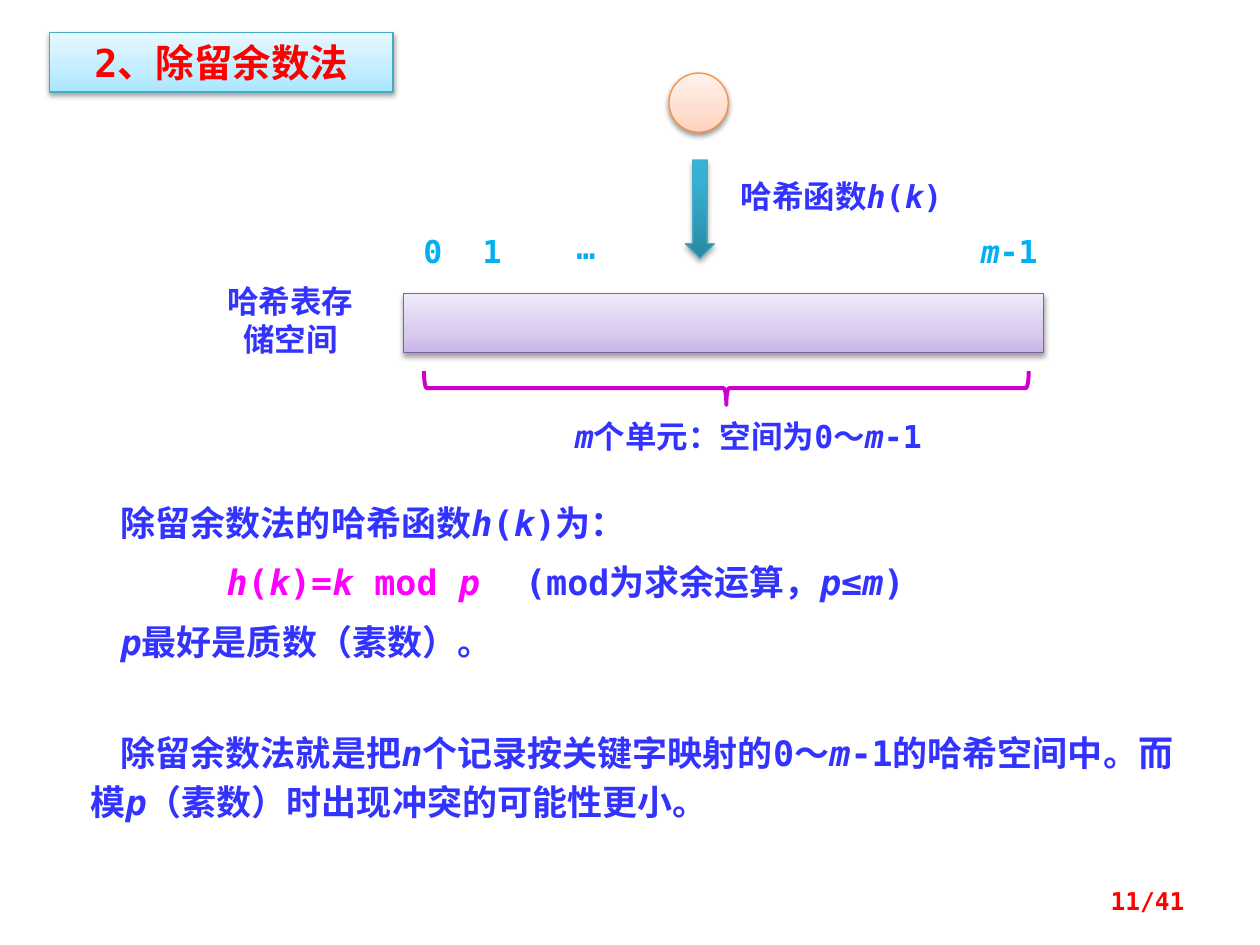
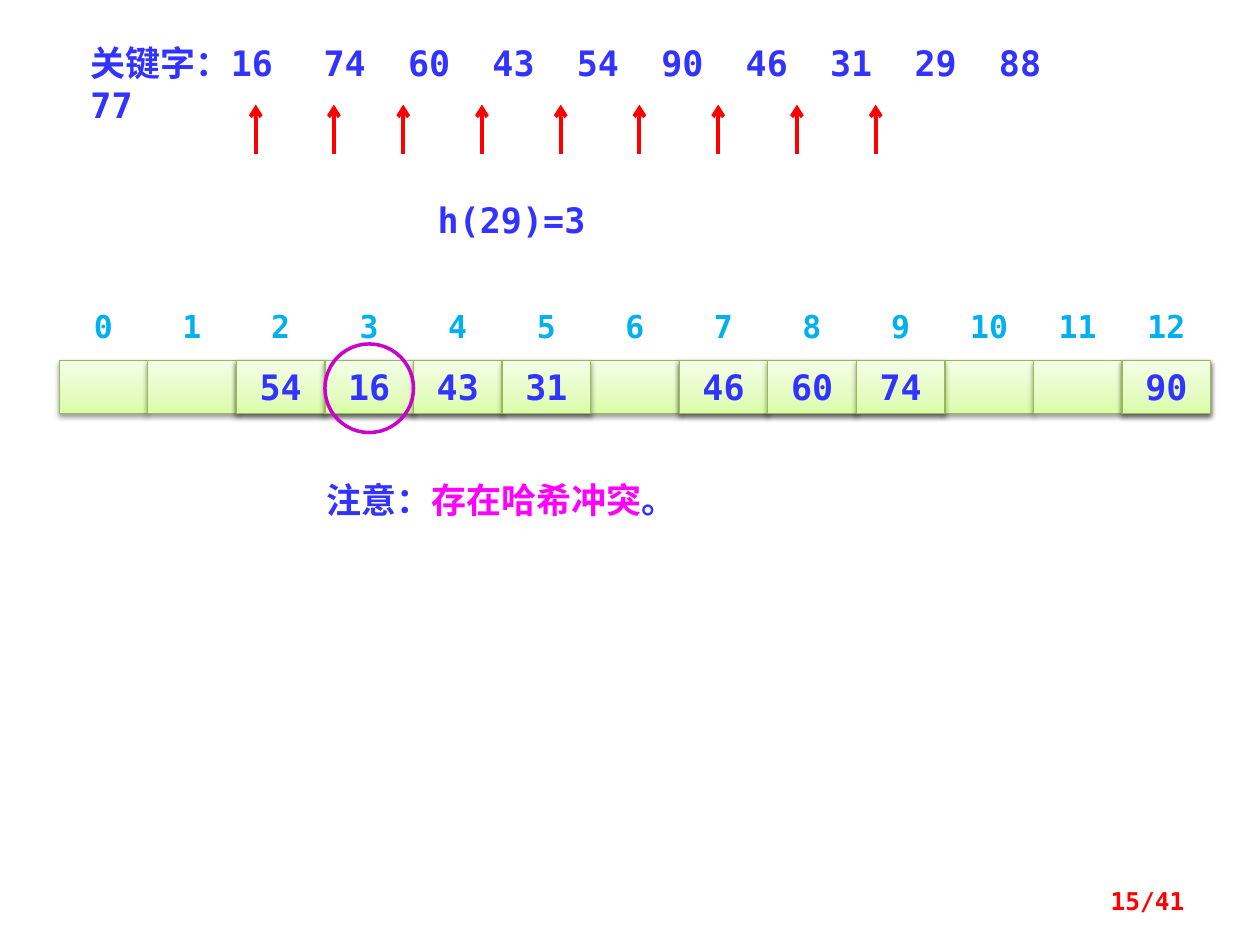
from dataclasses import dataclass
from typing import NamedTuple

from pptx import Presentation
from pptx.dml.color import RGBColor
from pptx.enum.shapes import MSO_CONNECTOR, MSO_SHAPE
from pptx.enum.text import MSO_ANCHOR, MSO_AUTO_SIZE, PP_ALIGN
from pptx.oxml import parse_xml
from pptx.oxml.ns import nsdecls, qn
from pptx.util import Inches, Pt

RECTANGLE, OVAL = MSO_SHAPE.RECTANGLE, MSO_SHAPE.OVAL
DOWN_ARROW, BRACE = MSO_SHAPE.DOWN_ARROW, MSO_SHAPE.LEFT_BRACE
STRAIGHT = MSO_CONNECTOR.STRAIGHT
TOP, MIDDLE = MSO_ANCHOR.TOP, MSO_ANCHOR.MIDDLE
LEFT, CENTER = PP_ALIGN.LEFT, PP_ALIGN.CENTER
RIGHT, JUSTIFY = PP_ALIGN.RIGHT, PP_ALIGN.JUSTIFY
NO_FIT = MSO_AUTO_SIZE.NONE

FONT = "DejaVu Sans Mono"
COLUMNS, ROWS = 100, 75
UNIT = Inches(10) / COLUMNS
TITLE_ONLY, BLANK = 5, 6
PAGE_TOTAL = 41

COLORS = {
    "text": "3333FF", "accent": "FF00FF", "index": "00B0F0",
    "red": "FF0000", "purple": "CC00CC", "white": "FFFFFF",
}


class Box(NamedTuple):
    """Place on the grid: first column, first row, columns and rows."""
    column: float
    row: float
    columns: float
    rows: float

    def lengths(self) -> list[int]:
        return [round(value * UNIT) for value in self]


@dataclass(frozen=True)
class Finish:
    """Three-stop upward gradient, outline colour and soft shadow."""
    stops: tuple[str, str, str]
    outline: str
    middle: int = 35
    shadow_alpha: int = 38
    shadow_distance: float = 1.6


@dataclass(frozen=True)
class TextStyle:
    size: int = 18
    color: str = "text"
    align: PP_ALIGN = CENTER
    anchor: MSO_ANCHOR = TOP
    inset: bool = True
    space_before: int = 0
    line_height: int = 0
    first_indent: float = 0
    tabs: tuple[float, ...] = ()


class Label(NamedTuple):
    box: Box
    text: str
    style: TextStyle


FINISHES = {
    "title": Finish(("A7E6FF", "C1EDFF", "E7F8FF"), "46AAC5"),
    "table": Finish(("C9B5E8", "D8CBEE", "F0EAF9"), "7D60A0"),
    "key": Finish(("FFD2BD", "FFDED0", "FFF2ED"), "F69240"),
    "arrow": Finish(("2A88A2", "37B1D2", "34B4D6"), "46AAC5", 80, 35, 1.8),
    "cell": Finish(("DAFDA7", "E4FCC2", "F5FFE7"), "98B955"),
}

CAPTION = TextStyle()
INDEX = TextStyle(color="index")
CELL_INDEX = TextStyle(color="index", inset=False)
CELL_KEY = TextStyle(20, anchor=MIDDLE)
PROSE = TextStyle(20, align=LEFT)


def rgb(name: str) -> RGBColor:
    return RGBColor.from_string(COLORS[name])


def write(shape, text: str, style: TextStyle) -> None:
    """Fill a shape with text; *x* is italic, ^x^ takes the accent colour."""
    frame = shape.text_frame
    frame.word_wrap = True
    frame.auto_size = NO_FIT
    frame.vertical_anchor = style.anchor
    if not style.inset:
        frame.margin_left = frame.margin_right = 0
        frame.margin_top = frame.margin_bottom = 0
    for number, line in enumerate(text.split("\n")):
        para = frame.add_paragraph() if number else frame.paragraphs[0]
        para.alignment = style.align
        if number:
            para.space_before = Pt(style.space_before)
        if style.line_height:
            para.line_spacing = Pt(style.line_height)
        set_indent_and_tabs(para, style)
        for accent, part in enumerate(line.split("^")):
            for italic, piece in enumerate(part.split("*")):
                if piece:
                    add_span(para, piece, style, accent % 2, italic % 2)


def set_indent_and_tabs(para, style: TextStyle) -> None:
    properties = para._p.get_or_add_pPr()
    if style.first_indent:
        properties.set("marL", "0")
        properties.set("indent", str(round(style.first_indent * UNIT)))
    if style.tabs:
        stops = "".join(f'<a:tab pos="{round(tab * UNIT)}" algn="l"/>'
                        for tab in style.tabs)
        properties.append(
            parse_xml(f'<a:tabLst {nsdecls("a")}>{stops}</a:tabLst>'))


def add_span(para, text: str, style: TextStyle,
             accent: int, italic: int) -> None:
    span = para.add_run()
    span.text = text
    font = span.font
    font.name, font.size = FONT, Pt(style.size)
    font.bold, font.italic = True, bool(italic)
    font.color.rgb = rgb("accent" if accent else style.color)


def apply_finish(shape, finish: Finish) -> None:
    shape.fill.gradient()
    shape.fill.gradient_angle = 90
    properties = shape.element.spPr
    stop_list = properties.find(f".//{qn('a:gsLst')}")
    for stop in list(stop_list):
        stop_list.remove(stop)
    for position, color in zip((0, finish.middle, 100), finish.stops):
        stop_list.append(parse_xml(
            f'<a:gs {nsdecls("a")} pos="{position * 1000}">'
            f'<a:srgbClr val="{color}"/></a:gs>'))
    shape.line.color.rgb = RGBColor.from_string(finish.outline)
    shape.line.width = Pt(0.75)
    shape.shadow.inherit = False
    properties.find(qn("a:effectLst")).append(parse_xml(
        f'<a:outerShdw {nsdecls("a")} blurRad="{Pt(3.1)}" '
        f'dist="{Pt(finish.shadow_distance)}" dir="5400000" rotWithShape="0">'
        f'<a:srgbClr val="000000"><a:alpha val="{finish.shadow_alpha * 1000}"/>'
        '</a:srgbClr></a:outerShdw>'))


def add_finished(page, kind: MSO_SHAPE, box: Box, finish: str):
    shape = page.shapes.add_shape(kind, *box.lengths())
    apply_finish(shape, FINISHES[finish])
    return shape


def add_outline(page, kind: MSO_SHAPE, box: Box, width: float):
    shape = page.shapes.add_shape(kind, *box.lengths())
    shape.shadow.inherit = False
    shape.fill.background()
    shape.line.color.rgb = rgb("purple")
    shape.line.width = Pt(width)
    return shape


def add_label(page, label: Label) -> None:
    write(page.shapes.add_textbox(*label.box.lengths()),
          label.text, label.style)


def add_up_arrow(page, column: float, bottom: float, top: float) -> None:
    ends = [round(value * UNIT) for value in (column, bottom, column, top)]
    arrow = page.shapes.add_connector(STRAIGHT, *ends)
    arrow.line.color.rgb = rgb("red")
    arrow.line.width = Pt(2.25)
    arrow.line._get_or_add_ln().append(
        parse_xml(f'<a:tailEnd {nsdecls("a")} type="arrow"/>'))
    arrow._element.spPr.append(parse_xml(f'<a:effectLst {nsdecls("a")}/>'))


def add_page_number(page, number: int) -> None:
    style = TextStyle(14, "red", RIGHT, MIDDLE)
    add_label(page, Label(Box(71.7, 69.5, 23.3, 4),
                          f"{number}/{PAGE_TOTAL}", style))


def build_method_page(deck) -> None:
    page = deck.slides.add_slide(deck.slide_layouts[TITLE_ONLY])
    title = page.shapes.title
    title.left, title.top, title.width, title.height = Box(
        3.9, 2.6, 27.3, 4.7).lengths()
    apply_finish(title, FINISHES["title"])
    write(title, "2、除留余数法", TextStyle(22, "red"))

    add_finished(page, RECTANGLE, Box(32, 23.3, 50.8, 4.7), "table")
    add_finished(page, OVAL, Box(53.1, 5.8, 4.7, 4.7), "key")
    add_finished(page, DOWN_ARROW, Box(54.4, 12.7, 2.3, 7.8), "arrow")
    add_outline(page, BRACE, Box(56.3, 6.8, 2.7, 48), 2.25).rotation = 270

    definition = TextStyle(20, align=JUSTIFY, space_before=10,
                           tabs=(8.4, 32.1))
    summary = TextStyle(20, align=LEFT, line_height=28, first_indent=2.4)
    labels = [
        Label(Box(16.4, 21.9, 13.3, 7.1), "哈希表存储空间", CAPTION),
        Label(Box(32, 17.9, 4.7, 4), "0", INDEX),
        Label(Box(36.7, 17.9, 4.7, 4), "1", INDEX),
        Label(Box(42.2, 17.6, 8.6, 4), "…", INDEX),
        Label(Box(76.6, 17.9, 7, 4), "*m*-1", INDEX),
        Label(Box(39.1, 32.6, 40.6, 4), "*m*个单元：空间为0～*m*-1", CAPTION),
        Label(Box(57.8, 13.6, 23.4, 4), "哈希函数*h*(*k*)",
              TextStyle(align=LEFT)),
        Label(Box(8.6, 39.3, 84.4, 14.5),
              "除留余数法的哈希函数*h*(*k*)为：\n"
              "^\t*h*(*k*)=*k* mod *p*^\t(mod为求余运算，*p*≤*m*)\n"
              "*p*最好是质数（素数）。", definition),
        Label(Box(6.2, 57, 90.6, 8.9),
              "除留余数法就是把*n*个记录按关键字映射的0～*m*-1的哈希空间中。"
              "而模*p*（素数）时出现冲突的可能性更小。", summary),
    ]
    for label in labels:
        add_label(page, label)
    add_page_number(page, 11)


def build_collision_page(deck) -> None:
    page = deck.slides.add_slide(deck.slide_layouts[BLANK])
    keys = (16, 74, 60, 43, 54, 90, 46, 31, 29, 88)
    tabs = tuple(18.5 + 6.7 * step for step in range(len(keys) - 1))
    add_label(page, Label(Box(6.2, 2.8, 81.3, 4.4),
                          "关键字：" + "\t".join(map(str, keys)) + " 77",
                          TextStyle(20, align=LEFT, tabs=tabs)))
    add_label(page, Label(Box(24.9, 37.5, 36, 4.4),
                          "注意：^存在哈希冲突^。", PROSE))

    result = page.shapes.add_shape(RECTANGLE, *Box(31.2, 15.3, 18.8, 4.4).lengths())
    result.shadow.inherit = False
    result.fill.solid()
    result.fill.fore_color.rgb = rgb("white")
    result.line.fill.background()
    write(result, "h(29)=3", TextStyle(20))

    slot_count, first_column, pitch = 13, 4.7, 7.03
    cells = [Box(first_column + pitch * slot, 28.6, pitch, 4.2)
             for slot in range(slot_count)]
    for slot, cell in enumerate(cells):
        add_finished(page, RECTANGLE, cell, "cell")
        add_label(page, Label(Box(cell.column + 1.4, 24.4, 4.2, 3),
                              str(slot), CELL_INDEX))
    for key in sorted(keys[:8], key=lambda key: key % slot_count):
        stored = add_finished(page, RECTANGLE, cells[key % slot_count], "cell")
        write(stored, str(key), CELL_KEY)
    collision = cells[29 % slot_count]
    add_outline(page, OVAL, Box(collision.column, 27.3, pitch, pitch), 2)

    arrow_columns = [20.3, 26.5] + [32 + 6.25 * step for step in range(7)]
    for column in arrow_columns:
        add_up_arrow(page, column, 12.2, 8.3)
    add_page_number(page, 15)


def main() -> None:
    deck = Presentation()
    deck.slide_width = round(COLUMNS * UNIT)
    deck.slide_height = round(ROWS * UNIT)
    build_method_page(deck)
    build_collision_page(deck)
    deck.save("out.pptx")


if __name__ == "__main__":
    main()
